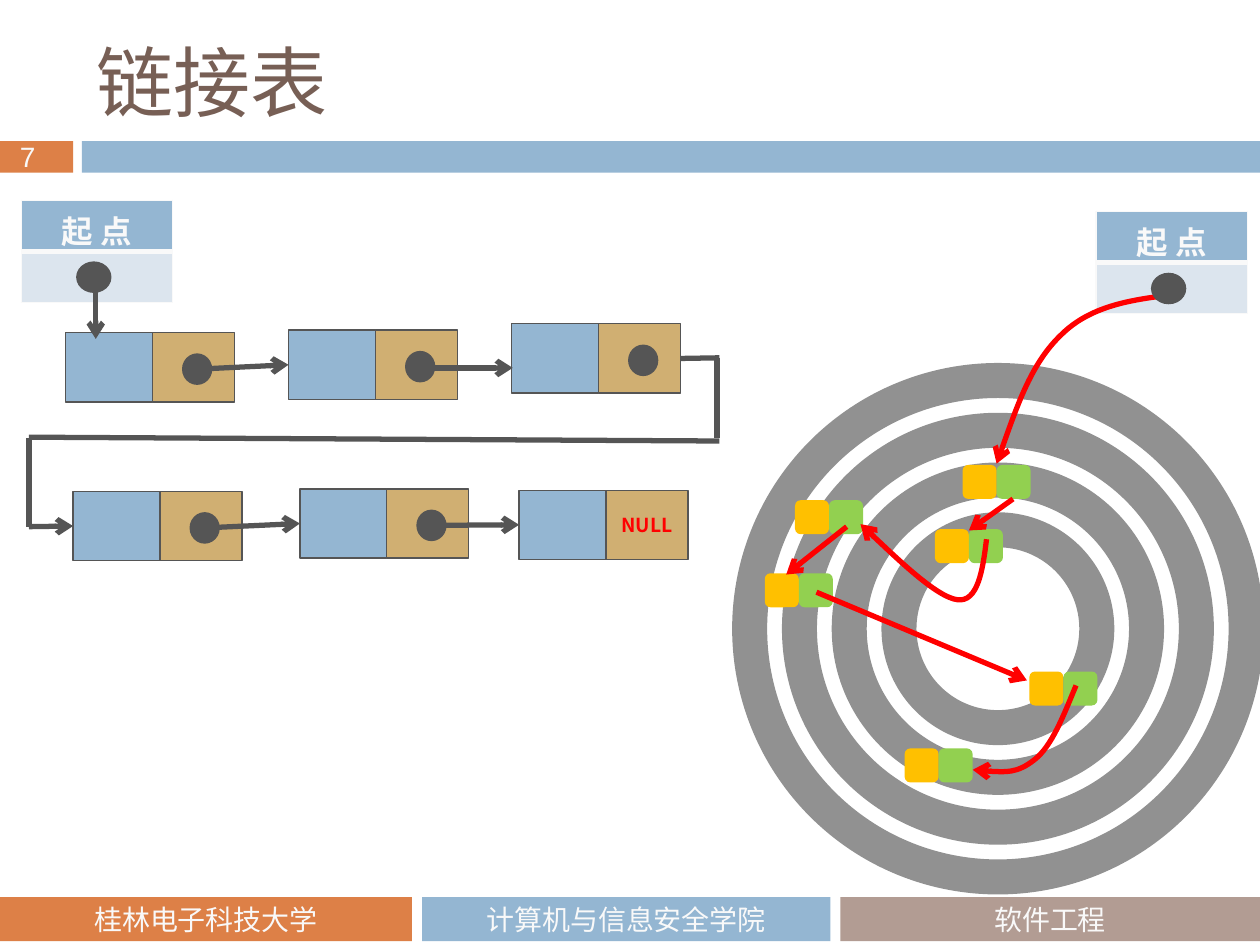
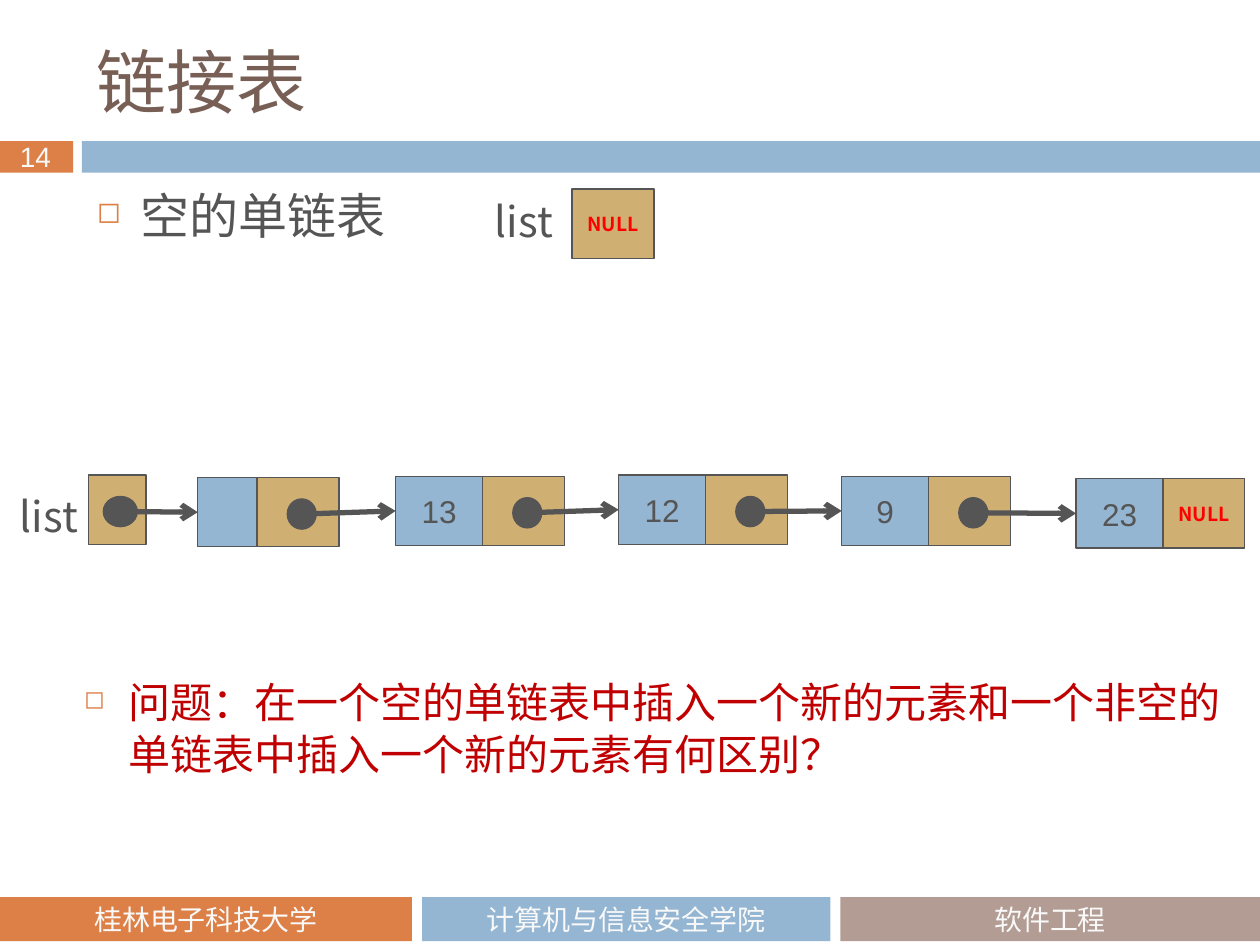
from lxml import etree
from pptx import Presentation
from pptx.dml.color import RGBColor
from pptx.enum import shapes, text
from pptx.oxml import ns
from pptx.util import Inches, Pt

ORANGE = RGBColor(0xDD, 0x80, 0x47)
BLUE = RGBColor(0x94, 0xB6, 0xD2)
PALE_BLUE = RGBColor(0xDC, 0xE5, 0xEE)
TAUPE = RGBColor(0xB2, 0x9C, 0x93)
BROWN = RGBColor(0x77, 0x5F, 0x55)
SAND = RGBColor(0xD0, 0xAF, 0x72)
INK = RGBColor(0x55, 0x55, 0x55)
GRAY = RGBColor(0x91, 0x91, 0x91)
OFF_WHITE = RGBColor(0xF9, 0xF9, 0xF9)
RED = RGBColor(0xFF, 0x00, 0x00)
DARK_RED = RGBColor(0xC0, 0x00, 0x00)
YELLOW = RGBColor(0xFF, 0xC0, 0x00)
GREEN = RGBColor(0x92, 0xD0, 0x50)

CJK = "Noto Sans CJK SC"
TITLE_FONT = "Noto Sans CJK JP"
RECT = shapes.MSO_SHAPE.RECTANGLE
OVAL = shapes.MSO_SHAPE.OVAL
ROUNDED = shapes.MSO_SHAPE.ROUNDED_RECTANGLE
CENTER = text.PP_ALIGN.CENTER
MIDDLE = text.MSO_ANCHOR.MIDDLE
LEFT_SIDE, RIGHT_SIDE = 1, 3

NODE_HEIGHT = 0.55
DATA_WIDTH = 0.69
POINTER_WIDTH = 0.65
SQUARE = 0.27


def add_xml(parent, tag, **attributes):
    return etree.SubElement(parent, ns.qn(tag), attributes)


class Deck:
    def __init__(self):
        self.prs = Presentation()
        self.prs.slide_width, self.prs.slide_height = Inches(10), Inches(7.5)
        self.slide = None

    def new_slide(self, number, title, title_size):
        self.slide = self.prs.slides.add_slide(self.prs.slide_layouts[6])
        self.box(0, 1.12, 0.58, 0.25, ORANGE)
        self.box(0.65, 1.12, 9.35, 0.25, BLUE)
        footers = [(0, 3.27, ORANGE, "桂林电子科技大学"),
                   (3.35, 3.24, BLUE, "计算机与信息安全学院"),
                   (6.67, 3.33, TAUPE, "软件工程")]
        for x, width, color, label in footers:
            band = self.box(x, 7.12, width, 0.35, color)
            self.set_text(band.text_frame, label, 16, OFF_WHITE, "Calibri", CENTER)
        self.label(0.06, 1.06, 0.48, 0.37, str(number), 16, OFF_WHITE, "Arial")
        heading = self.label(0.67, 0.25, 8.92, 0.78, title, title_size, BROWN,
                             TITLE_FONT, wrap=True)
        heading.text_frame.vertical_anchor = MIDDLE

    def set_text(self, frame, words, size, color, font=CJK, align=None, bold=False):
        frame.text = words
        paragraph = frame.paragraphs[0]
        paragraph.alignment = align
        run = paragraph.runs[0]
        run.font.size, run.font.bold = Pt(size), bold
        run.font.color.rgb = color
        run.font.name = font
        east_asian = font if font.startswith("Noto") else CJK
        add_xml(run._r.get_or_add_rPr(), "a:ea", typeface=east_asian)

    def label(self, x, y, width, height, words, size, color, font=CJK, wrap=False):
        area = self.slide.shapes.add_textbox(
            Inches(x), Inches(y), Inches(width), Inches(height))
        area.text_frame.word_wrap = wrap
        self.set_text(area.text_frame, words, size, color, font)
        return area

    def bullet(self, x, y, width, height, words, size, color):
        area = self.label(x, y, width, height, words, size, color, wrap=True)
        paragraph = area.text_frame.paragraphs[0]
        paragraph.line_spacing = Pt(30)
        properties = paragraph._p.get_or_add_pPr()
        properties.set("marL", str(Inches(0.35)))
        properties.set("indent", str(Inches(-0.35)))
        add_xml(add_xml(properties, "a:buClr"), "a:srgbClr", val=str(ORANGE))
        add_xml(properties, "a:buSzPct", val="60000")
        add_xml(properties, "a:buChar", char="◻")

    def box(self, x, y, width, height, fill=None, line=None, weight=0.75,
            kind=RECT, parent=None):
        shape = (parent or self.slide).shapes.add_shape(
            kind, Inches(x), Inches(y), Inches(width), Inches(height))
        shape.shadow.inherit = False
        if fill is None:
            shape.fill.background()
        else:
            shape.fill.solid()
            shape.fill.fore_color.rgb = fill
        if line is None:
            shape.line.fill.background()
        else:
            self.stroke(shape.line, line, weight)
        shape.text_frame.vertical_anchor = MIDDLE
        return shape

    def stroke(self, line, color, weight, arrow=False):
        line.color.rgb = color
        line.width = Pt(weight)
        if arrow:
            add_xml(line._get_or_add_ln(), "a:tailEnd", type="arrow")

    def dot(self, x, y, width=0.23):
        return self.box(x, y, width, 0.24, INK, INK, kind=OVAL)

    def data_cell(self, x, y, value="", width=DATA_WIDTH):
        cell = self.box(x, y, width, NODE_HEIGHT, BLUE, INK)
        if value:
            self.set_text(cell.text_frame, value, 18, INK, "Arial", CENTER)
        return cell

    def null_cell(self, x, y):
        cell = self.box(x, y, POINTER_WIDTH, NODE_HEIGHT, SAND, INK)
        frame = cell.text_frame
        frame.margin_left = frame.margin_right = 0
        self.set_text(frame, "NULL", 11, RED, align=CENTER, bold=True)
        return cell

    def node(self, x, y, value="", width=DATA_WIDTH, last=False):
        """Draw a list node; return its data cell, pointer cell and dot."""
        data = self.data_cell(x, y, value, width)
        if last:
            return data, self.null_cell(x + width, y), None
        pointer = self.box(x + width, y, POINTER_WIDTH, NODE_HEIGHT, SAND, INK)
        return data, pointer, self.dot(x + width + 0.24, y + 0.17)

    def line(self, x1, y1, x2, y2, color=INK, arrow=False):
        connector = self.slide.shapes.add_connector(
            shapes.MSO_CONNECTOR.STRAIGHT,
            Inches(x1), Inches(y1), Inches(x2), Inches(y2))
        self.stroke(connector.line, color, 3, arrow)
        add_xml(connector._element.spPr, "a:effectLst")
        return connector

    def link(self, dot, target):
        """Point from a node's dot to the left side of the next data cell."""
        x, y = dot.left + dot.width // 2, dot.top + dot.height // 2
        arrow = self.line(x / Inches(1), y / Inches(1), 0, 0, arrow=True)
        arrow.end_connect(target, LEFT_SIDE)

    def curve(self, start, *controls):
        """Draw an arrow of cubic Bézier pieces, three control points each."""
        points = [(Inches(x), Inches(y)) for x, y in controls]
        builder = self.slide.shapes.build_freeform(Inches(start[0]), Inches(start[1]))
        builder.add_line_segments(points, close=False)
        shape = builder.convert_to_shape()
        steps = list(shape._element.iter(ns.qn("a:lnTo")))
        for i in range(0, len(steps), 3):
            bezier = etree.Element(ns.qn("a:cubicBezTo"))
            steps[i].addprevious(bezier)
            for step in steps[i:i + 3]:
                bezier.append(step[0])
                step.getparent().remove(step)
        shape.shadow.inherit = False
        shape.fill.background()
        self.stroke(shape.line, RED, 3, arrow=True)

    def start_table(self, x, y):
        table = self.slide.shapes.add_table(
            2, 1, Inches(x), Inches(y), Inches(1.2), Inches(0.81)).table
        table.first_row = table.horz_banding = False
        self.set_text(table.cell(0, 0).text_frame, "起 点", 18, OFF_WHITE,
                      align=CENTER, bold=True)
        rows = [(BLUE, {"L": 1, "R": 1, "T": 1, "B": 3}),
                (PALE_BLUE, {"L": 1, "R": 1, "T": 3, "B": 1})]
        for row, (color, borders) in enumerate(rows):
            cell = table.cell(row, 0)
            properties = cell._tc.get_or_add_tcPr()
            for side, weight in borders.items():
                border = add_xml(properties, f"a:ln{side}", w=str(Pt(weight)))
                add_xml(add_xml(border, "a:solidFill"), "a:srgbClr", val=str(OFF_WHITE))
            cell.fill.solid()
            cell.fill.fore_color.rgb = color

    def disk_block(self, x, y):
        pair = self.slide.shapes.add_group_shape()
        for i, color in enumerate((YELLOW, GREEN)):
            self.box(x + i * SQUARE, y, SQUARE, SQUARE, color,
                     kind=ROUNDED, parent=pair)


def linked_list_slide(deck):
    deck.new_slide(7, "链接表", 44)

    for ring in range(4):
        size = 1.57 + 0.79 * ring
        deck.box(7.92 - size / 2, 4.99 - size / 2, size, size,
                 line=GRAY, weight=20, kind=OVAL)
    deck.start_table(8.7, 1.68)
    deck.curve((9.3, 2.34), (8.97, 2.38), (8.65, 2.43), (8.42, 2.66),
               (8.19, 2.88), (8.05, 3.28), (7.91, 3.68))
    deck.dot(9.14, 2.17, 0.27)
    for x, y in [(7.64, 3.69), (8.17, 5.33), (7.42, 4.2),
                 (6.31, 3.97), (7.18, 5.94), (6.07, 4.55)]:
        deck.disk_block(x, y)
    for jump in [(8.04, 3.96, 7.69, 4.21), (6.72, 4.18, 6.24, 4.56),
                 (6.48, 4.7, 8.15, 5.4)]:
        deck.line(*jump, RED, arrow=True)
    deck.curve((7.83, 4.28), (7.8, 4.53), (7.76, 4.78), (7.6, 4.76),
               (7.43, 4.74), (6.83, 4.16), (6.83, 4.16))
    deck.curve((8.54, 5.44), (8.44, 5.68), (8.35, 5.92), (8.21, 6.03),
               (8.07, 6.14), (7.89, 6.13), (7.72, 6.11))

    first, second, third = [
        deck.node(x, y) for x, y in [(0.52, 2.64), (2.29, 2.62), (4.06, 2.57)]]
    fourth, fifth = [deck.node(x, y) for x, y in [(0.58, 3.9), (2.38, 3.88)]]
    sixth = deck.node(4.12, 3.89, last=True)
    for source, target in [(first, second), (fourth, fifth), (fifth, sixth)]:
        deck.link(source[2], target[0])
    deck.line(3.32, 2.92, 4.07, 2.92, arrow=True)

    deck.line(5.4, 2.84, 5.71, 2.84).begin_connect(third[1], RIGHT_SIDE)
    deck.line(5.69, 2.84, 5.69, 3.48)
    deck.line(0.23, 3.47, 5.71, 3.5)
    deck.line(0.23, 3.48, 0.23, 4.18)
    deck.line(0.23, 4.18, 0.58, 4.18, arrow=True).end_connect(fourth[0], LEFT_SIDE)

    deck.start_table(0.17, 1.59)
    deck.dot(0.61, 2.08, 0.27)
    deck.line(0.76, 2.15, 0.76, 2.69, arrow=True)


def empty_list_slide(deck):
    deck.new_slide(14, "链接表", 40)
    deck.bullet(0.67, 1.47, 8.92, 0.52, "空的单链表", 28, INK)
    deck.null_cell(4.54, 1.5)
    for x, y in [(3.83, 1.5), (0.06, 3.84)]:
        deck.label(x, y, 0.71, 0.5, "list", 24, INK)

    deck.box(0.7, 3.77, 0.46, NODE_HEIGHT, SAND, INK)
    list_dot = deck.dot(0.82, 3.94, 0.27)
    nodes = [deck.node(1.57, 3.79, width=0.47)]
    for x, y, value in [(3.14, 3.78, "13"), (4.91, 3.77, "12"),
                        (6.68, 3.78, "9"), (8.54, 3.8, "23")]:
        nodes.append(deck.node(x, y, value, last=value == "23"))
    dots = [list_dot] + [node[2] for node in nodes[:-1]]
    for dot, node in zip(dots, nodes):
        deck.link(dot, node[0])

    deck.bullet(0.57, 5.3, 9.25, 1,
                "问题：在一个空的单链表中插入一个新的元素和一个非空的"
                "单链表中插入一个新的元素有何区别？", 24, DARK_RED)


def main():
    deck = Deck()
    linked_list_slide(deck)
    empty_list_slide(deck)
    deck.prs.save("out.pptx")


if __name__ == "__main__":
    main()
